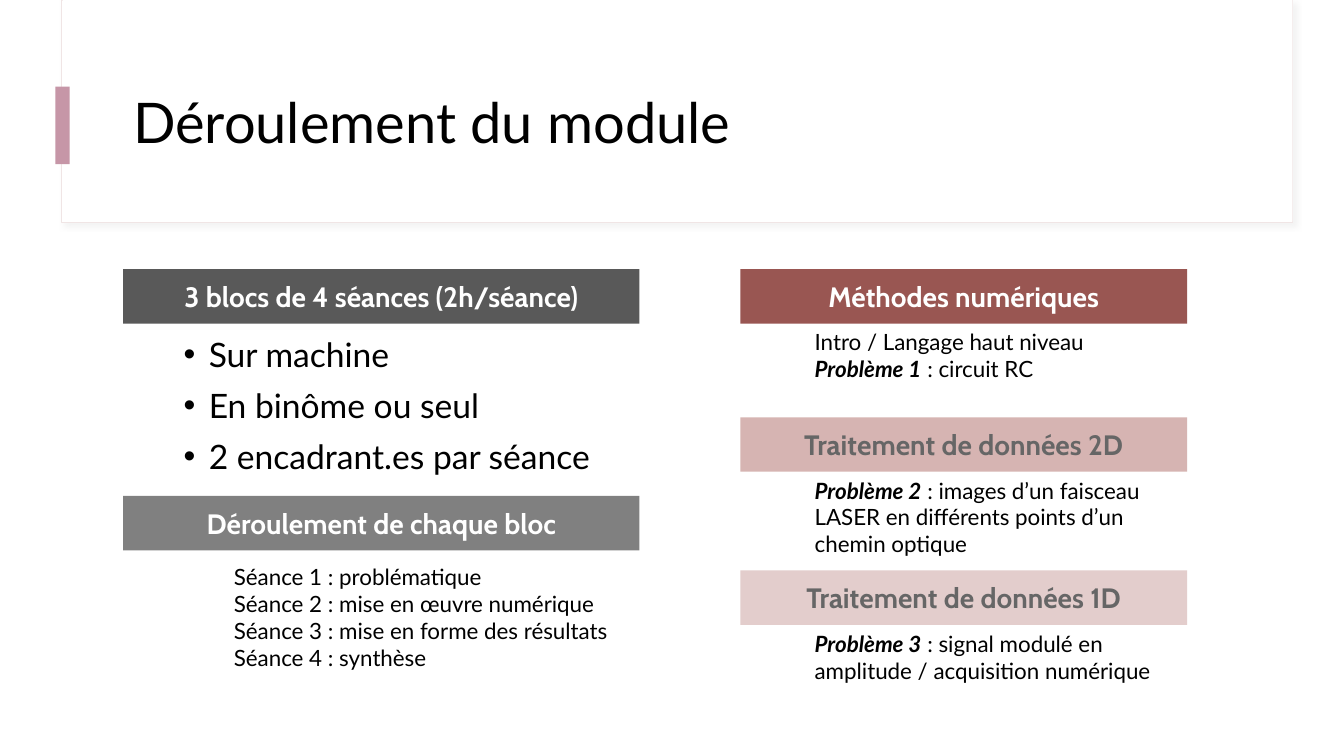
from pptx import Presentation
from pptx.dml.color import RGBColor
from pptx.enum.shapes import MSO_SHAPE
from pptx.enum.text import MSO_ANCHOR, PP_ALIGN
from pptx.oxml import parse_xml
from pptx.oxml.ns import nsdecls
from pptx.util import Inches, Pt

HUES = {
    "white": "FFFFFF", "black": "000000", "edge": "F0E5E5", "shade": "D9D9D9",
    "mauve": "C696A7", "dark": "595959", "gray": "808080", "ink": "666666",
    "brick": "995652", "rose": "D6B4B2", "pale": "E3CDCC",
}


def hue(name):
    return RGBColor.from_string(HUES[name])


def write(frame, lines, font="Lato", size=16, color="black", bold=False,
          align=PP_ALIGN.LEFT, space=None, gap=0, dots=False):
    """Fill a frame with lines, each a string or a (strong start, rest) pair."""
    for i, line in enumerate(lines):
        para = frame.paragraphs[0] if i == 0 else frame.add_paragraph()
        para.alignment = align
        para.line_spacing = space
        para.space_before = Pt(gap if i else 0)
        if dots:
            props = para._p.get_or_add_pPr()
            props.set("marL", str(Inches(0.75)))
            props.set("indent", str(Inches(-0.25)))
            props.append(parse_xml(f'<a:buFont {nsdecls("a")} typeface="Arial"/>'))
            props.append(parse_xml(f'<a:buChar {nsdecls("a")} char="•"/>'))
        start, rest = ("", line) if isinstance(line, str) else line
        for text, strong in ((start, True), (rest, False)):
            if text:
                run = para.add_run()
                run.text = text
                run.font.name = font
                run.font.size = Pt(size)
                run.font.color.rgb = hue(color)
                run.font.bold = bold or strong
                run.font.italic = strong


class Deck:
    """Hold the slide, its grid of 120 columns by 75 rows, and its style."""

    def __init__(self):
        self.show = Presentation()
        self.show.slide_width = Inches(13.33)
        self.show.slide_height = Inches(7.5)
        self.col = self.show.slide_width / 120
        self.row = self.show.slide_height / 75
        self.slide = self.show.slides.add_slide(self.show.slide_layouts[6])

    def place(self, x, y, w, h):
        return (round(x * self.col), round(y * self.row),
                round(w * self.col), round(h * self.row))

    def block(self, x, y, w, h, fill, edge=None):
        box = self.slide.shapes.add_shape(MSO_SHAPE.RECTANGLE, *self.place(x, y, w, h))
        box.shadow.inherit = False
        box.fill.solid()
        box.fill.fore_color.rgb = hue(fill)
        if edge:
            box.line.color.rgb = hue(edge)
            box.line.width = Pt(0.75)
        else:
            box.line.fill.background()
        return box

    def shade(self, box):
        glow = parse_xml(
            f'<a:outerShdw {nsdecls("a")} blurRad="{Pt(4)}" dist="{Pt(3)}" '
            f'dir="2700000" algn="tl" rotWithShape="0"><a:srgbClr val="{HUES["shade"]}">'
            '<a:alpha val="30000"/></a:srgbClr></a:outerShdw>')
        box._element.spPr.find(
            "{http://schemas.openxmlformats.org/drawingml/2006/main}effectLst").append(glow)

    def band(self, x, y, w, fill, text, color="white"):
        box = self.block(x, y, w, 5.4, fill)
        frame = box.text_frame
        frame.word_wrap = True
        frame.vertical_anchor = MSO_ANCHOR.TOP
        frame.margin_left = frame.margin_right = Inches(0.1)
        frame.margin_top = frame.margin_bottom = Inches(0.1)
        write(frame, [text], font="Cabin", size=20, color=color, bold=True,
              align=PP_ALIGN.CENTER)

    def text(self, x, y, w, h, lines, anchor=MSO_ANCHOR.TOP, **form):
        frame = self.slide.shapes.add_textbox(*self.place(x, y, w, h)).text_frame
        frame.word_wrap = True
        frame.vertical_anchor = anchor
        write(frame, lines, **form)


def main():
    deck = Deck()
    deck.shade(deck.block(5.5, 0, 109.9, 22.1, "white", edge="edge"))
    deck.block(5.6, 0, 109.8, 22, "white")
    deck.block(4.95, 8.6, 1.26, 7.7, "mauve")
    deck.text(11, 6, 100, 12.9, ["Déroulement du module"],
              anchor=MSO_ANCHOR.MIDDLE, size=40, space=0.9)

    deck.band(11, 26.7, 46.1, "dark", "3 blocs de 4 séances (2h/séance)")
    deck.text(11, 32.2, 48.6, 16,
              ["Sur machine", "En binôme ou seul", "2 encadrant.es par séance"],
              size=24, space=1.1, gap=5, dots=True)
    deck.band(11, 49.2, 46.1, "gray", "Déroulement de chaque bloc")
    steps = ["problématique", "mise en œuvre numérique",
             "mise en forme des résultats", "synthèse"]
    deck.text(20, 55.4, 37.2, 12.1,
              [f"Séance {n} : {step}" for n, step in enumerate(steps, 1)])

    parts = [
        (26.7, "brick", "white", "Méthodes numériques", 6.4,
         ["Intro / Langage haut niveau", ("Problème 1", " : circuit RC")]),
        (41.4, "rose", "ink", "Traitement de données 2D", 9.1,
         [("Problème 2", " : images d’un faisceau LASER en différents points "
                         "d’un chemin optique")]),
        (56.6, "pale", "ink", "Traitement de données 1D", 6.4,
         [("Problème 3", " : signal modulé en amplitude / acquisition numérique")]),
    ]
    for top, fill, color, head, high, lines in parts:
        deck.band(66.1, top, 39.9, fill, head, color)
        deck.text(71.85, top + 5.4, 34.1, high, lines)
    deck.show.save("out.pptx")


if __name__ == "__main__":
    main()
